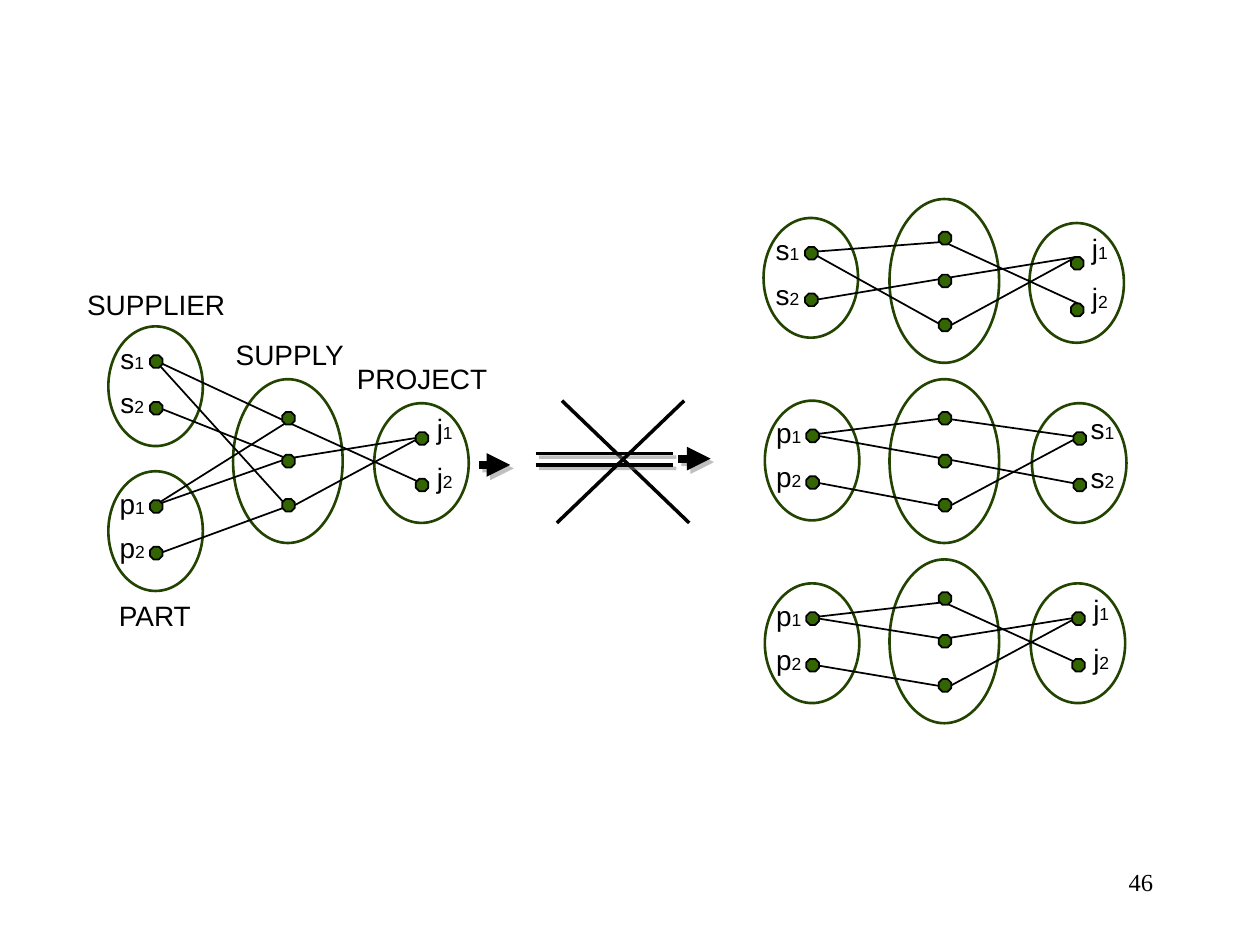
import lxml.etree
import pptx
import pptx.dml.color
import pptx.enum.shapes
import pptx.enum.text
import pptx.oxml.ns
import pptx.util

Inches = pptx.util.Inches
SHAPES = pptx.enum.shapes.MSO_SHAPE
ALIGN = pptx.enum.text.PP_ALIGN

COLORS = {"ink": "000000", "paper": "FFFFFF", "outline": "224400", "dot": "336600", "shadow": "808080"}

S_LINKS = [(0, 2), (0, 0), (1, 1)]
P_LINKS = [(0, 0), (0, 1), (1, 2)]
J_LINKS = [(0, 1), (1, 0), (2, 0)]
TOP, MIDDLE, LOW = 0.34, 0.63, 1.01

DIAGRAMS = [
    {
        "hub": (1.85, 3.01),
        "left": [("s", 0.86, 2.59, S_LINKS), ("p", 0.86, 3.74, P_LINKS)],
        "right": ("j", 2.97, 3.2, J_LINKS),
        "headings": [("SUPPLIER", 1.24, 2.23), ("SUPPLY", 2.3, 2.63), ("PROJECT", 3.35, 2.82), ("PART", 1.23, 4.7)],
    },
    {"hub": (7.06, 1.58), "left": [("s", 6.06, 1.73, S_LINKS)], "right": ("j", 8.17, 1.77, J_LINKS), "drop": 0.04},
    {"hub": (7.06, 4.44), "left": [("p", 6.07, 4.63, P_LINKS)], "right": ("j", 8.18, 4.63, J_LINKS)},
    {
        "hub": (7.06, 3.01),
        "left": [("p", 6.07, 3.18, P_LINKS)],
        "right": ("s", 8.19, 3.2, [(0, 0), (1, 1), (2, 0)]),
        "top": 0.31,
    },
]

CROSSED_ARROW = [
    ((5.38, 3.64), (5.64, 3.64), {"width": 4.5, "arrow": True, "shadow": True}),
    ((4.46, 3.18), (5.47, 4.15), {"width": 2}),
    ((4.25, 3.6), (5.34, 3.6), {"width": 2, "shadow": True}),
    ((4.25, 3.69), (5.34, 3.69), {"width": 2, "shadow": True}),
    ((4.42, 4.15), (5.43, 3.18), {"width": 2}),
]

SET_SIZE, HUB_SIZE, DOT_SIZE = (0.75, 0.95), (0.87, 1.3), (0.1, 0.1)
SET_DOTS = [(0.33, 0.23), (0.33, 0.6)]
HUB_DOTS = [(0.39, 0.26), (0.39, 0.6), (0.39, 0.95)]
SET_ENDS = [(0.37, 0.27), (0.41, 0.65)]
LABEL_CENTERS = {"left": [(0.19, 0.07), (0.19, 0.42)], "right": [(0.56, 0.02), (0.56, 0.41)]}


def color(name):
    return pptx.dml.color.RGBColor.from_string(COLORS[name])


def shift(origin, offset):
    return origin[0] + offset[0], origin[1] + offset[1]


def add_text(parent, spans, left, top, width, height, font="Arial", align=ALIGN.CENTER, wrap=False):
    box = parent.shapes.add_textbox(Inches(left), Inches(top), Inches(width), Inches(height))
    frame = box.text_frame
    frame.word_wrap = wrap
    if not wrap:
        frame.auto_size = pptx.enum.text.MSO_AUTO_SIZE.SHAPE_TO_FIT_TEXT
    para = frame.paragraphs[0]
    para.alignment = align
    for text, size in spans:
        span = para.add_run()
        span.text = text
        span.font.name = font
        span.font.size = pptx.util.Pt(size)
        span.font.color.rgb = color("ink")


def add_centered(parent, spans, center, top, width):
    add_text(parent, spans, center - width / 2, top, width, 0.37)


def add_outline(parent, kind, place, size, fill, line, weight):
    shape = parent.shapes.add_shape(kind, *[Inches(value) for value in (*place, *size)])
    shape.shadow.inherit = False
    shape.fill.solid()
    shape.fill.fore_color.rgb = color(fill)
    shape.line.color.rgb = color(line)
    shape.line.width = pptx.util.Pt(weight)
    return shape


def add_line(parent, start, end, width=1, arrow=False, shadow=False):
    straight = pptx.enum.shapes.MSO_CONNECTOR.STRAIGHT
    line = parent.shapes.add_connector(straight, *[Inches(value) for value in (*start, *end)])
    line.line.color.rgb = color("ink")
    line.line.width = pptx.util.Pt(width)
    qn = pptx.oxml.ns.qn
    properties = line._element.spPr
    if arrow:
        lxml.etree.SubElement(properties.find(qn("a:ln")), qn("a:tailEnd"), type="triangle")
    effects = lxml.etree.SubElement(properties, qn("a:effectLst"))
    if shadow:
        outer = lxml.etree.SubElement(
            effects, qn("a:outerShdw"), dist=str(pptx.util.Pt(2.8)), dir="2700000", rotWithShape="0"
        )
        tint = lxml.etree.SubElement(outer, qn("a:srgbClr"), val=COLORS["shadow"])
        lxml.etree.SubElement(tint, qn("a:alpha"), val="50000")


def add_diagram(page, hub, left, right, headings=(), drop=0, top=TOP):
    group = page.shapes.add_group_shape()
    sets = [("left", *entry) for entry in left] + [("right", *right)]
    for side, letter, x, y, links in sets:
        add_outline(group, SHAPES.OVAL, (x, y), SET_SIZE, "paper", "outline", 1.5)
    add_outline(group, SHAPES.OVAL, hub, HUB_SIZE, "paper", "outline", 1.5)
    for text, center, y in headings:
        add_centered(group, [(text, 16)], center, y, 1.3)

    dots = [shift(hub, offset) for offset in HUB_DOTS]
    for side, letter, x, y, links in sets:
        for number, offset in enumerate(LABEL_CENTERS[side], 1):
            center, label_top = shift((x, y), offset)
            add_centered(group, [(letter, 16), (str(number), 10)], center, label_top, 0.4)
        lowered = y + (drop if side == "right" else 0)
        dots += [shift((x, lowered), offset) for offset in SET_DOTS]
        last_x = 0.47 if side == "right" else 0.43
        hub_ends = [(0.43, top), (0.43, MIDDLE), (last_x, LOW)]
        for first, second in links:
            member, node = (first, second) if side == "left" else (second, first)
            add_line(group, shift((x, y), SET_ENDS[member]), shift(hub, hub_ends[node]))
    for place in dots:
        dot = add_outline(group, SHAPES.OCTAGON, place, DOT_SIZE, "dot", "ink", 1)
        dot.adjustments[0] = 0.29


def main():
    deck = pptx.Presentation()
    deck.slide_width, deck.slide_height = Inches(10), Inches(7.5)
    page = deck.slides.add_slide(deck.slide_layouts[6])
    add_text(page, [("46", 14)], 7.17, 6.83, 2.08, 0.5, font="Times New Roman", align=ALIGN.RIGHT, wrap=True)
    for diagram in DIAGRAMS:
        add_diagram(page, **diagram)
    crossed = page.shapes.add_group_shape()
    for start, end, style in CROSSED_ARROW:
        add_line(crossed, start, end, **style)
    add_line(page, (3.8, 3.69), (4.05, 3.69), width=4.5, arrow=True, shadow=True)
    deck.save("out.pptx")


if __name__ == "__main__":
    main()
